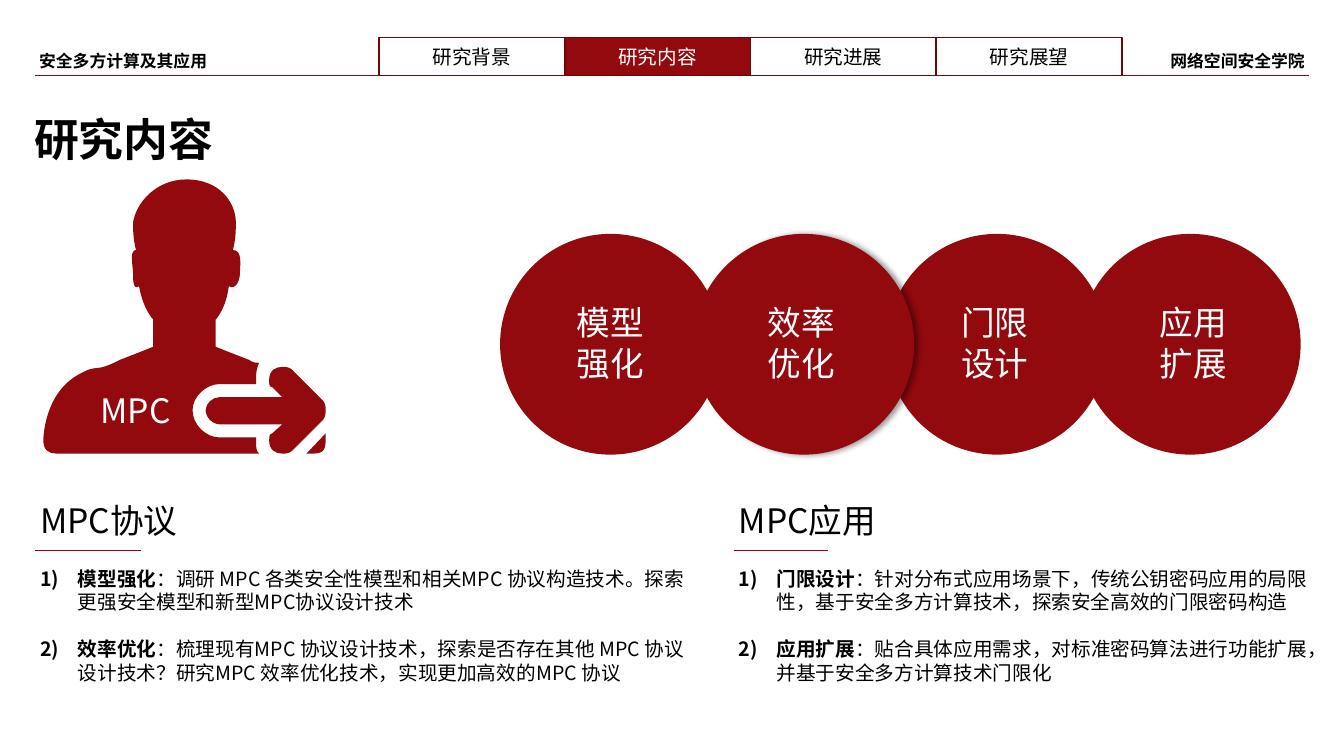
from dataclasses import dataclass

from lxml.etree import SubElement
from pptx import Presentation
from pptx.dml.color import RGBColor
from pptx.enum.shapes import MSO_CONNECTOR as CONNECTOR, MSO_SHAPE as SHAPE
from pptx.enum.text import MSO_ANCHOR as ANCHOR, PP_ALIGN as ALIGN
from pptx.oxml.ns import qn
from pptx.util import Inches, Pt


@dataclass(frozen=True)
class Theme:
    font: str = "Noto Sans CJK SC"
    red: RGBColor = RGBColor(0x92, 0x09, 0x0E)
    dark_red: RGBColor = RGBColor(0x6C, 0x07, 0x0A)
    black: RGBColor = RGBColor(0, 0, 0)
    white: RGBColor = RGBColor(255, 255, 255)
    small: int = 12
    body: int = 14
    heading: int = 24
    title: int = 32


THEME = Theme()

TABS = ["研究背景", "研究内容", "研究进展", "研究展望"]
ACTIVE_TAB = "研究内容"
TABS_LEFT, TABS_RIGHT = 3.76, 11.13
TOPICS = [("模型强化", 5.56), ("效率优化", 7.45), ("门限设计", 9.37), ("应用扩展", 11.34)]
RAISED_TOPIC = "效率优化"
FIRST_CIRCLE, LAST_CIRCLE = 4.96, 10.71

SECTIONS = [
    ("MPC协议", 0.3, 6.74, 0.35, 1.4, [
        ("模型强化", "：调研 MPC 各类安全性模型和相关MPC 协议构造技术。探索更强安全模型和新型MPC协议设计技术"),
        ("效率优化", "：梳理现有MPC 协议设计技术，探索是否存在其他 MPC 协议设计技术？"
                 "研究MPC 效率优化技术，实现更加高效的MPC 协议"),
    ]),
    ("MPC应用", 7.23, 6.01, 7.28, 8.21, [
        ("门限设计", "：针对分布式应用场景下，传统公钥密码应用的局限性，基于安全多方计算技术，探索安全高效的门限密码构造"),
        ("应用扩展", "：贴合具体应用需求，对标准密码算法进行功能扩展，并基于安全多方计算技术门限化"),
    ]),
]

ARROW = [
    (3.2, 4.17), (2.9, 4.47), (2.87, 4.5, 2.83, 4.5, 2.8, 4.5),
    (2.74, 4.5, 2.67, 4.47, 2.67, 4.37), (2.67, 4.34, 2.67, 4.3, 2.7, 4.3),
    (2.8, 4.21), (2.18, 4.21), (2.11, 4.21, 2.04, 4.14, 2.04, 4.07),
    (2.04, 4, 2.11, 3.94, 2.18, 3.94), (2.8, 3.94), (2.7, 3.84),
    (2.67, 3.84, 2.67, 3.81, 2.67, 3.77), (2.67, 3.67, 2.74, 3.64, 2.8, 3.64),
    (2.83, 3.64, 2.87, 3.64, 2.9, 3.67), (3.2, 3.97),
    (3.23, 4, 3.23, 4.04, 3.23, 4.07), (3.23, 4.1, 3.23, 4.14, 3.2, 4.17),
]
BUST = [
    (2.54, 3.81), (2.18, 3.81), (2.04, 3.81, 1.91, 3.94, 1.91, 4.07),
    (1.91, 4.21, 2.04, 4.34, 2.18, 4.34), (2.54, 4.34), (2.54, 4.37),
    (2.54, 4.44, 2.54, 4.47, 2.57, 4.5), (0.56, 4.5),
    (0.49, 4.5, 0.43, 4.47, 0.43, 4.37), (0.43, 4.37, 0.43, 3.9, 0.79, 3.71),
    (0.99, 3.6, 0.92, 3.71, 1.19, 3.57), (1.45, 3.47, 1.52, 3.44, 1.52, 3.44),
    (1.52, 3.17), (1.52, 3.17, 1.42, 3.07, 1.38, 2.84),
    (1.32, 2.88, 1.32, 2.78, 1.32, 2.71), (1.32, 2.64, 1.28, 2.48, 1.35, 2.48),
    (1.32, 2.38, 1.32, 2.25, 1.32, 2.21), (1.35, 2.01, 1.55, 1.78, 1.85, 1.78),
    (2.18, 1.78, 2.34, 2.01, 2.34, 2.21), (2.34, 2.25, 2.34, 2.38, 2.31, 2.48),
    (2.41, 2.48, 2.38, 2.64, 2.38, 2.71), (2.38, 2.78, 2.34, 2.88, 2.27, 2.84),
    (2.24, 3.07, 2.14, 3.17, 2.14, 3.17), (2.14, 3.44),
    (2.14, 3.44, 2.21, 3.47, 2.47, 3.57), (2.51, 3.6, 2.54, 3.6, 2.57, 3.6),
    (2.54, 3.67, 2.54, 3.71, 2.54, 3.77),
]
CORNER = [(3.23, 4.37), (3.23, 4.47, 3.2, 4.5, 3.1, 4.5), (3.04, 4.5), (3.23, 4.3)]
PERSON = [ARROW, BUST, CORNER]


def style(p, size, color, bold=False, align=ALIGN.LEFT):
    p.alignment = align
    p.font.size = Pt(size)
    p.font.name = THEME.font
    p.font.bold = bold
    p.font.color.rgb = color
    props = p._p.get_or_add_pPr().find(qn("a:defRPr"))
    SubElement(props, qn("a:ea"), typeface=THEME.font)


def add_frame(slide, x, y, w, h):
    tf = slide.shapes.add_textbox(Inches(x), Inches(y), Inches(w), Inches(h)).text_frame
    tf.word_wrap = True
    return tf


def add_label(slide, text, x, y, w, h, size, color=THEME.black, bold=False, align=ALIGN.LEFT):
    p = add_frame(slide, x, y, w, h).paragraphs[0]
    p.add_run().text = text
    style(p, size, color, bold, align)


def add_rule(slide, x1, x2, y):
    line = slide.shapes.add_connector(CONNECTOR.STRAIGHT, Inches(x1), Inches(y), Inches(x2), Inches(y))
    line.line.color.rgb = THEME.red
    line.line.width = Pt(0.5)
    SubElement(line._element.spPr, qn("a:effectLst"))


def add_tab(slide, text, x):
    active = text == ACTIVE_TAB
    sp = slide.shapes.add_shape(SHAPE.RECTANGLE, Inches(x), Inches(0.37), Inches(1.84), Inches(0.38))
    sp.shadow.inherit = False
    sp.line.color.rgb = THEME.dark_red
    sp.line.width = Pt(1)
    if active:
        sp.fill.solid()
        sp.fill.fore_color.rgb = THEME.red
    else:
        sp.fill.background()
    sp.text_frame.vertical_anchor = ANCHOR.MIDDLE
    p = sp.text_frame.paragraphs[0]
    p.add_run().text = text
    style(p, THEME.body, THEME.white if active else THEME.black, align=ALIGN.CENTER)


def paint_red(sp):
    sp.shadow.inherit = False
    sp.fill.solid()
    sp.fill.fore_color.rgb = THEME.red
    sp.line.fill.background()


def add_topic(slide, text, x, label_x):
    sp = slide.shapes.add_shape(SHAPE.OVAL, Inches(x), Inches(2.32), Inches(2.19), Inches(2.19))
    paint_red(sp)
    if text == RAISED_TOPIC:
        effects = sp._element.spPr.find(qn("a:effectLst"))
        shadow = SubElement(effects, qn("a:outerShdw"), blurRad=str(Pt(4)), dist=str(Pt(3)), dir="0")
        color = SubElement(shadow, qn("a:srgbClr"), val=str(THEME.black))
        SubElement(color, qn("a:alpha"), val="40000")
    add_label(slide, text, label_x, 2.95, 0.99, 0.91, THEME.heading, THEME.white, align=ALIGN.CENTER)


def bend(segment, step, sp):
    segment.tag = qn("a:cubicBezTo")
    segment.remove(segment[0])
    for x, y in zip(step[::2], step[1::2]):
        SubElement(segment, qn("a:pt"), x=str(Inches(x) - sp.left), y=str(Inches(y) - sp.top))


def add_person(slide):
    outlines = [[(Inches(step[-2]), Inches(step[-1])) for step in steps] for steps in PERSON]
    builder = slide.shapes.build_freeform(*outlines[0][0])
    for i, points in enumerate(outlines):
        if i:
            builder.move_to(*points[0])
        builder.add_line_segments(points[1:], close=True)
    sp = builder.convert_to_shape()
    paint_red(sp)
    segments = list(sp._element.iter(qn("a:lnTo")))
    steps = [step for outline in PERSON for step in outline[1:]]
    for segment, step in zip(segments, steps):
        if len(step) == 6:
            bend(segment, step, sp)


def add_section(slide, heading, x, width, rule_start, rule_end, items):
    add_label(slide, heading, x, 4.91, 2.22, 0.5, THEME.heading)
    add_rule(slide, rule_start, rule_end, 5.46)
    tf = add_frame(slide, x, 5.57, width, 1.28)
    for i, (lead, detail) in enumerate(items):
        p = tf.add_paragraph() if i else tf.paragraphs[0]
        p.space_before = Pt(17 if i else 0)
        props = p._p.get_or_add_pPr()
        props.set("marL", str(Inches(3 / 8)))
        props.set("indent", str(-Inches(3 / 8)))
        SubElement(props, qn("a:buFont"), typeface=THEME.font)
        SubElement(props, qn("a:buAutoNum"), type="arabicParenR")
        r = p.add_run()
        r.text = lead
        r.font.bold = True
        p.add_run().text = detail
        style(p, THEME.body, THEME.black)


def main():
    prs = Presentation()
    prs.slide_width, prs.slide_height = Inches(13.33), Inches(7.5)
    slide = prs.slides.add_slide(prs.slide_layouts[6])

    add_label(slide, "安全多方计算及其应用", 0.29, 0.45, 5.05, 0.3, THEME.small, bold=True)
    add_rule(slide, 0.35, 12.98, 0.75)
    tab_step = (TABS_RIGHT - TABS_LEFT) / len(TABS)
    for i, tab in enumerate(TABS):
        add_tab(slide, tab, TABS_LEFT + tab_step * i)
    add_label(slide, "网络空间安全学院", 10.83, 0.45, 2.21, 0.3, THEME.small, bold=True, align=ALIGN.RIGHT)

    add_label(slide, "研究内容", 0.24, 1.06, 5.1, 0.64, THEME.title, bold=True)
    add_person(slide)
    add_label(slide, "MPC", 0.85, 3.82, 0.99, 0.5, THEME.heading, THEME.white, align=ALIGN.CENTER)
    circle_step = (LAST_CIRCLE - FIRST_CIRCLE) / (len(TOPICS) - 1)
    for i, (topic, label_x) in reversed(list(enumerate(TOPICS))):
        add_topic(slide, topic, FIRST_CIRCLE + circle_step * i, label_x)
    for section in SECTIONS:
        add_section(slide, *section)
    prs.save("out.pptx")


if __name__ == "__main__":
    main()
